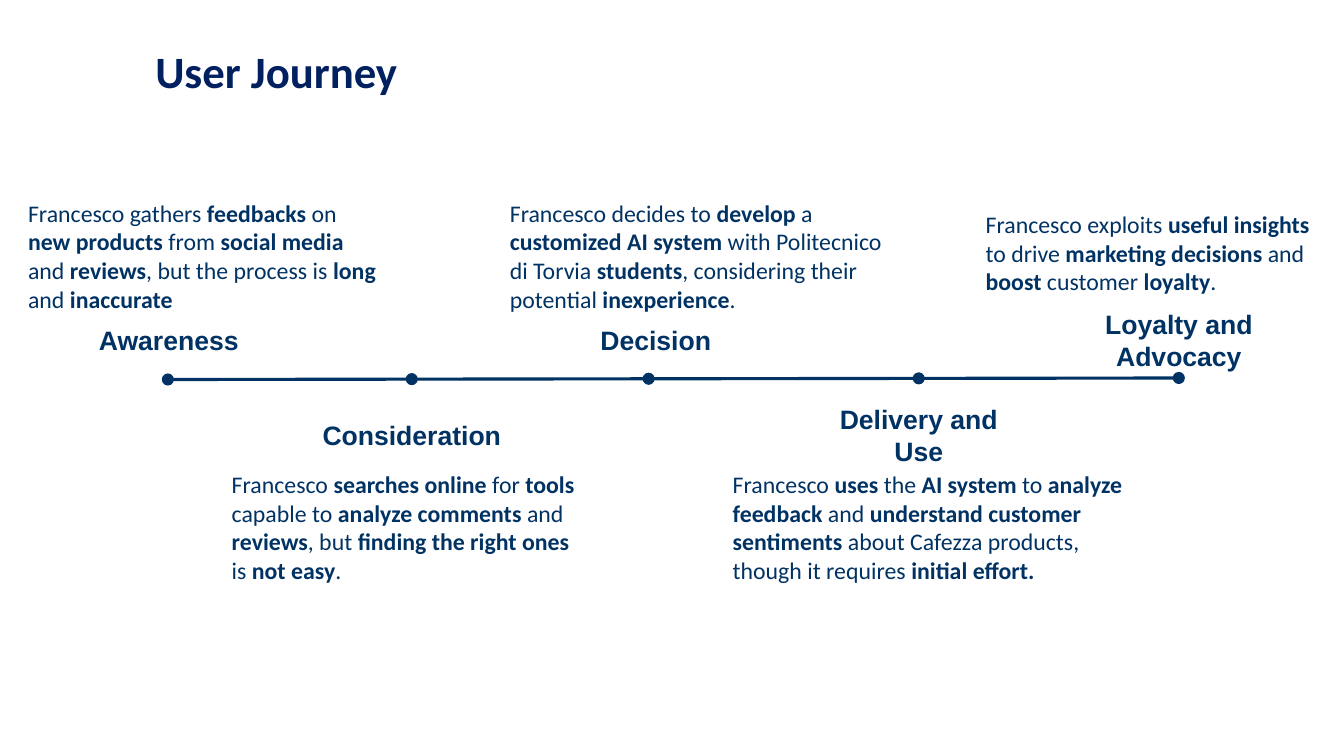
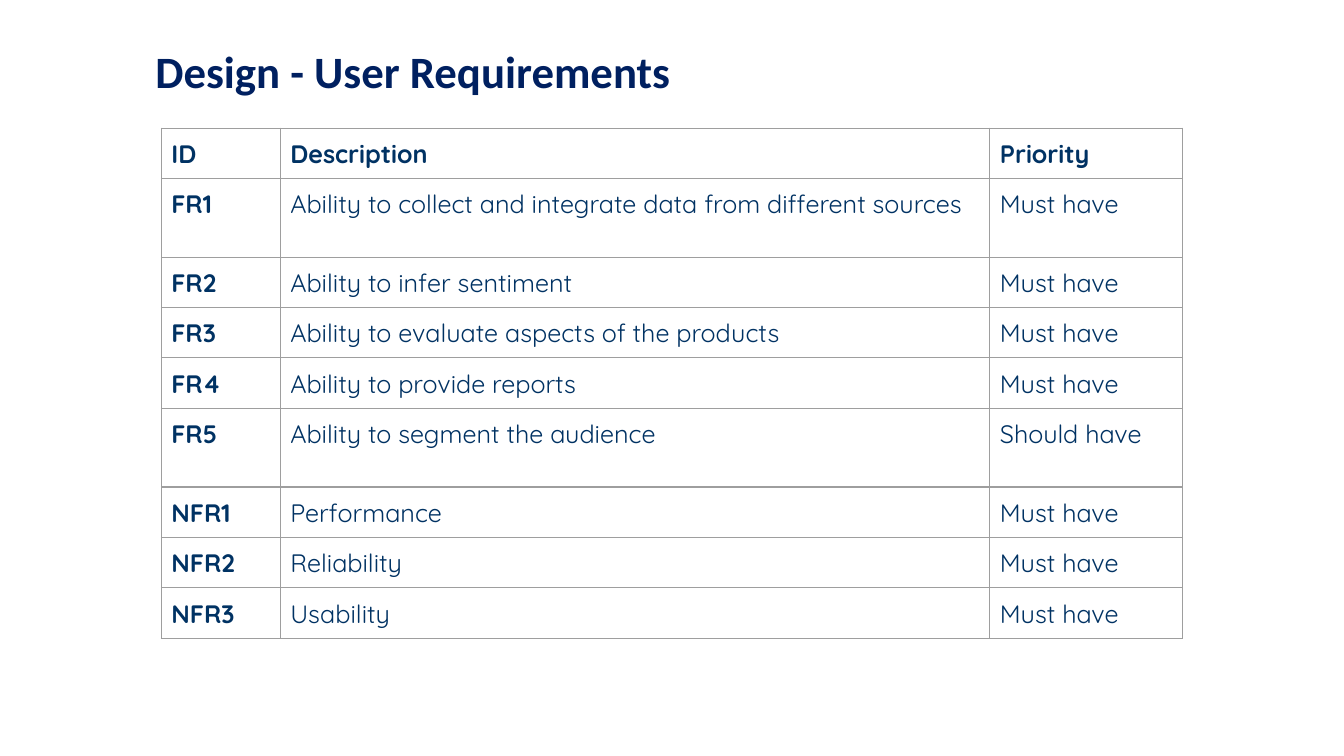
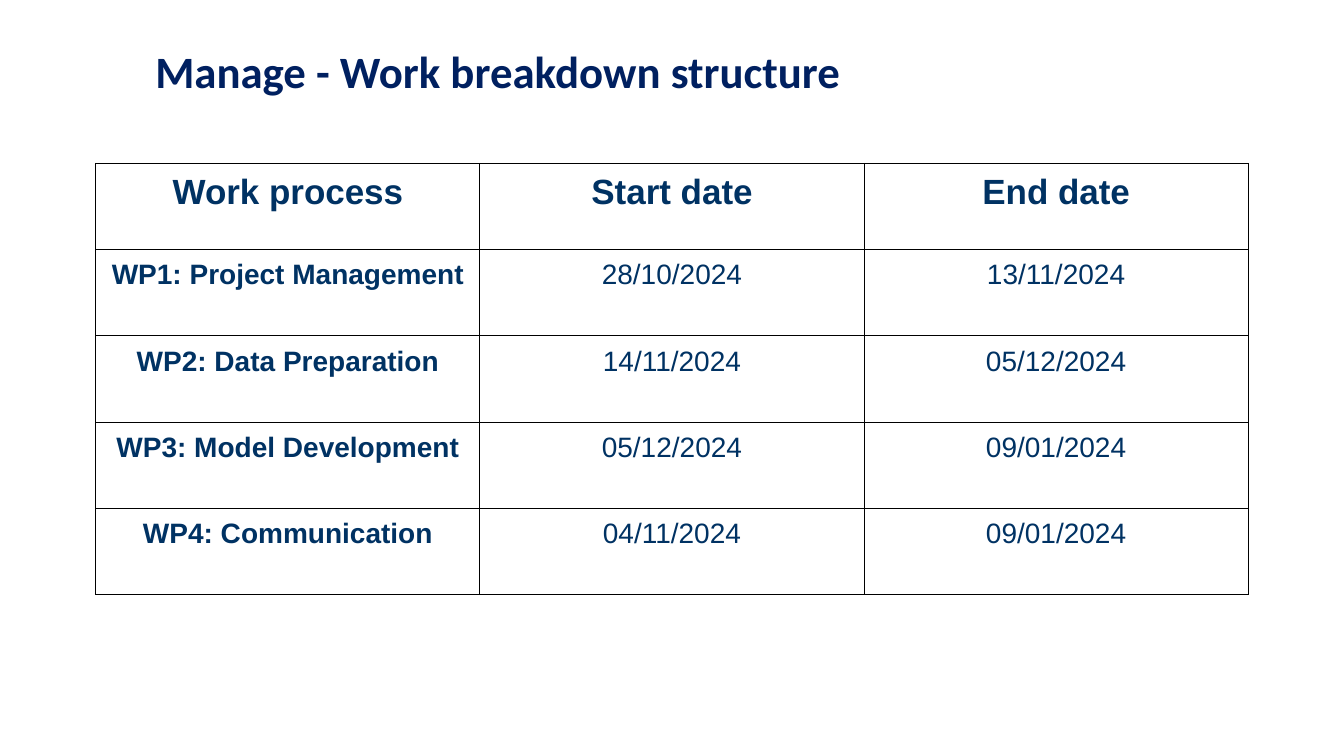
from collections import namedtuple
from dataclasses import dataclass

from lxml import etree
from pptx import Presentation
from pptx import util as u
from pptx.dml.color import RGBColor
from pptx.enum import shapes, text
from pptx.oxml import ns

WIDTH, HEIGHT = u.Inches(40 / 3), u.Inches(7.5)


@dataclass(frozen=True)
class Theme:
    """Colours, fonts, type sizes and insets shared by the slides."""
    title: str = "002060"
    ink: str = "003263"
    grey: str = "9E9E9E"
    black: str = "000000"
    heading_font: str = "Calibri"
    label_font: str = "Arial"
    table_font: str = "Quicksand"
    title_size: int = 32
    note_size: int = 17
    label_size: int = 19
    inset: float = 0.1
    title_inset: float = 0.03


THEME = Theme()
Stage = namedtuple("Stage", "name dot label_mid label_width above lines note_box note")

STAGES = [
    Stage("Awareness", 12.49, 12.56, 13.73, True, 1, (1.35, 24.93, 27.38, 18),
          "Francesco gathers *feedbacks* on *new products* from *social media* and "
          "*reviews*, but the process is *long* and *inaccurate*"),
    Stage("Consideration", 30.64, 30.64, 14.93, False, 1, (16.5, 60.8, 27.38, 18),
          "Francesco *searches online* for *tools* capable to *analyze comments* and "
          "*reviews*, but *finding the right ones* is *not easy*."),
    Stage("Decision", 48.26, 48.79, 13.73, True, 1, (37.2, 24.93, 30.75, 18),
          "Francesco decides to *develop* a *customized AI system* with Politecnico "
          "di Torvia *students*, considering their potential *inexperience*."),
    Stage("Delivery and Use", 68.36, 68.36, 16.73, False, 2, (53.78, 60.8, 31.73, 18),
          "Francesco *uses* the *AI system* to *analyze feedback* and *understand "
          "customer sentiments* about Cafezza products, though it requires *initial effort.*"),
    Stage("Loyalty and Advocacy", 87.71, 87.71, 13.13, True, 2, (72.6, 26.4, 27.38, 14.13),
          "Francesco exploits *useful insights* to drive *marketing decisions* and "
          "*boost* customer *loyalty*."),
]

REQUIREMENTS = [
    ("ID", "Description", "Priority"),
    ("FR1", "Ability to collect and integrate data from different sources", "Must have"),
    ("FR2", "Ability to infer sentiment", "Must have"),
    ("FR3", "Ability to evaluate aspects of the products", "Must have"),
    ("FR4", "Ability to provide reports", "Must have"),
    ("FR5", "Ability to segment the audience", "Should have"),
    ("NFR1", "Performance", "Must have"),
    ("NFR2", "Reliability", "Must have"),
    ("NFR3", "Usability", "Must have"),
]

WORK_PACKAGES = [
    ("Work process", "Start date", "End date"),
    ("WP1: Project Management", "28/10/2024", "13/11/2024"),
    ("WP2: Data Preparation", "14/11/2024", "05/12/2024"),
    ("WP3: Model Development", "05/12/2024", "09/01/2024"),
    ("WP4: Communication", "04/11/2024", "09/01/2024"),
]


def x(share):
    """Turn a percentage of the slide width into a length."""
    return u.Emu(round(WIDTH * share / 100))


def y(share):
    """Turn a percentage of the slide height into a length."""
    return u.Emu(round(HEIGHT * share / 100))


def box(left, top, width, height):
    """Turn four percentages into a position and size."""
    return x(left), y(top), x(width), y(height)


def set_insets(frame, inset):
    """Give a text frame or a cell the same inset on all sides."""
    frame.margin_left = frame.margin_right = u.Inches(inset)
    frame.margin_top = frame.margin_bottom = u.Inches(inset)


def write(tf, content, *, size, font, color=THEME.ink, bold=False,
          align=text.PP_ALIGN.LEFT, spacing=None):
    """Write one paragraph, switching weight at each asterisk."""
    p = tf.paragraphs[0]
    p.alignment = align
    if spacing:
        p.line_spacing = spacing
    for i, part in enumerate(content.split("*")):
        if part:
            r = p.add_run()
            r.text = part
            r.font.size, r.font.name = u.Pt(size), font
            r.font.bold = bold != (i % 2 == 1)
            r.font.color.rgb = RGBColor.from_string(color)


def fit_frame(tf, inset):
    """Make a frame wrap, start at the top and grow with its text."""
    tf.word_wrap = True
    tf.auto_size = text.MSO_AUTO_SIZE.SHAPE_TO_FIT_TEXT
    tf.vertical_anchor = text.MSO_ANCHOR.TOP
    set_insets(tf, inset)


def add_slide(prs, title):
    """Add a title-only slide and format its title."""
    s = prs.slides.add_slide(prs.slide_layouts[5])
    sp = s.shapes.title
    sp.left, sp.top, sp.width, sp.height = box(11.33, 6.8, 80.7, 6.4)
    fit_frame(sp.text_frame, THEME.title_inset)
    write(sp.text_frame, title, size=THEME.title_size, font=THEME.heading_font,
          color=THEME.title, bold=True, spacing=0.8)
    return s


def add_text(s, place, content, **style):
    """Add a text box at a place given in percentages."""
    tf = s.shapes.add_textbox(*box(*place)).text_frame
    fit_frame(tf, THEME.inset)
    write(tf, content, **style)


def add_line(s, start, end, width):
    """Draw a straight line between two points given in percentages."""
    line = s.shapes.add_connector(shapes.MSO_CONNECTOR.STRAIGHT, x(start[0]), y(start[1]),
                                  x(end[0]), y(end[1]))
    line.line.color.rgb = RGBColor.from_string(THEME.ink)
    line.line.width = u.Pt(width)
    etree.SubElement(line._element.spPr, ns.qn("a:effectLst"))


def add_dot(s, center_x, center_y):
    """Draw a milestone dot around a point given in percentages."""
    d = u.Inches(0.11)
    sp = s.shapes.add_shape(shapes.MSO_SHAPE.OVAL, x(center_x) - d // 2,
                            y(center_y) - d // 2, d, d)
    sp.shadow.inherit = False
    sp.fill.solid()
    sp.fill.fore_color.rgb = sp.line.color.rgb = RGBColor.from_string(THEME.ink)
    sp.line.width = u.Pt(0.75)


def set_borders(cell, color, top=0.75, bottom=0.75):
    """Draw the four borders of a cell."""
    tc_pr = cell._tc.get_or_add_tcPr()
    widths = {"lnL": 0.75, "lnR": 0.75, "lnT": top, "lnB": bottom}
    for i, (tag, width) in enumerate(widths.items()):
        ln = etree.Element(ns.qn(f"a:{tag}"), w=str(u.Pt(width)))
        fill = etree.SubElement(ln, ns.qn("a:solidFill"))
        etree.SubElement(fill, ns.qn("a:srgbClr"), val=color)
        tc_pr.insert(i, ln)


def add_table(s, left, top, columns, heights, rows, *, border, font, size,
              head_size, heavy_after=None, align=text.PP_ALIGN.LEFT):
    """Add a ruled table with a bold first row and first column."""
    table = s.shapes.add_table(len(rows), len(columns),
                               *box(left, top, sum(columns), sum(heights))).table
    table.first_row = table.horz_banding = False
    for column, width in zip(table.columns, columns):
        column.width = x(width)
    for i, (values, height) in enumerate(zip(rows, heights)):
        table.rows[i].height = y(height)
        for j, value in enumerate(values):
            cell = table.cell(i, j)
            cell.fill.background()
            set_insets(cell, THEME.inset)
            set_borders(cell, border,
                        top=1.5 if i - 1 == heavy_after else 0.75,
                        bottom=1.5 if i == heavy_after else 0.75)
            write(cell.text_frame, value, size=size if i else head_size, font=font,
                  bold=i == 0 or j == 0, align=align)


def add_stage(s, stage):
    """Add the note and the label of one journey stage."""
    add_text(s, stage.note_box, stage.note, size=THEME.note_size, font=THEME.heading_font)
    middle = 45 if stage.above else 57.6
    height = 6.93 if stage.lines == 1 else 11.2
    add_text(s, (stage.label_mid - stage.label_width / 2, middle - height / 2,
                 stage.label_width, height),
             stage.name, size=THEME.label_size, font=THEME.label_font, bold=True,
             align=text.PP_ALIGN.CENTER)


def add_journey(s):
    """Draw the stages along a slightly rising timeline."""
    for stage in STAGES:
        add_stage(s, stage)
    first, last = STAGES[0].dot, STAGES[-1].dot
    start, end = 50.2, 50
    add_line(s, (first, start), (last, end), 2.25)
    for stage in STAGES:
        along = (stage.dot - first) / (last - first)
        add_dot(s, stage.dot, start + (end - start) * along)


def main():
    """Build the three slides and save them."""
    prs = Presentation()
    prs.slide_width, prs.slide_height = WIDTH, HEIGHT

    add_journey(add_slide(prs, "User Journey"))

    s = add_slide(prs, "Design - User Requirements")
    heights = [10.4 if row[0] in ("FR1", "FR5") else 6.67 for row in REQUIREMENTS]
    add_table(s, 12, 16.93, [8.85, 52.8, 14.33], heights, REQUIREMENTS,
              border=THEME.grey, font=THEME.table_font, size=18, head_size=18,
              heavy_after=5)

    s = add_slide(prs, "Manage - Work breakdown structure")
    add_table(s, 7.13, 21.6, [28.58] * 3, [11.41] * len(WORK_PACKAGES), WORK_PACKAGES,
              border=THEME.black, font=THEME.label_font, size=20, head_size=25,
              align=text.PP_ALIGN.CENTER)

    prs.save("out.pptx")


if __name__ == "__main__":
    main()
